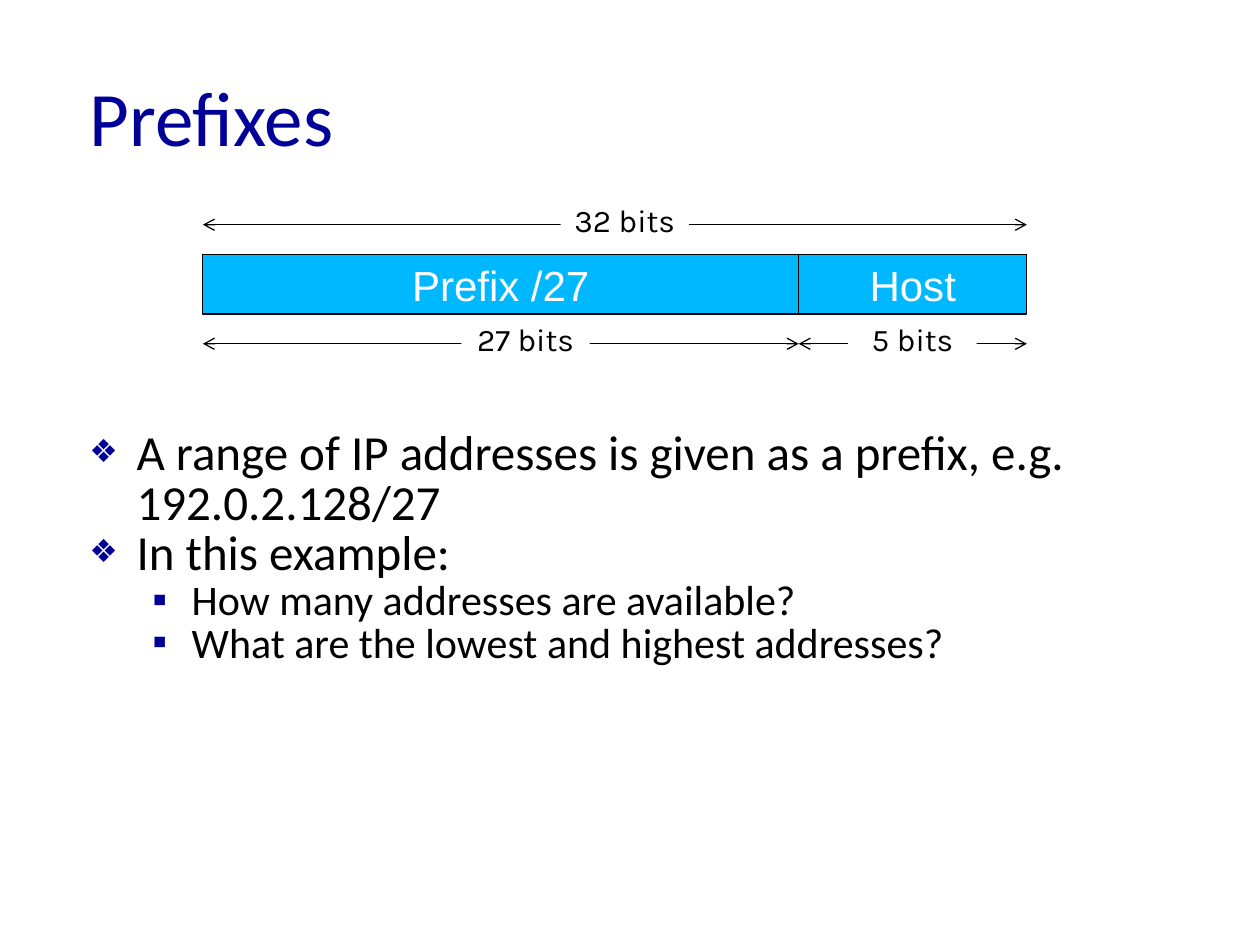
from lxml.etree import SubElement
from pptx import Presentation
from pptx.dml.color import RGBColor
from pptx.enum.shapes import MSO_CONNECTOR, MSO_SHAPE
from pptx.enum.text import MSO_ANCHOR, MSO_AUTO_SIZE, PP_ALIGN
from pptx.oxml.ns import qn
from pptx.util import Cm, Pt

# Content
TITLE = "Prefixes"
BULLETS = [
    (0, "A range of IP addresses is given as a prefix, e.g. 192.0.2.128/27"),
    (0, "In this example:"),
    (1, "How many addresses are available?"),
    (1, "What are the lowest and highest addresses?"),
]
FIELDS = [("Prefix /27", 12.01), ("Host", 4.6)]  # name, width in cm
# text, first field, last field, row, left of the label in cm
SPANS = [
    ("32 bits", 0, 1, "above", 11.3),
    ("27 bits", 0, 0, "below", 9.3),
    ("5 bits", 1, 1, "below", 17.1),
]

# Theme
THEME = {
    "navy": RGBColor(0x00, 0x00, 0x99),
    "black": RGBColor(0x00, 0x00, 0x00),
    "white": RGBColor(0xFF, 0xFF, 0xFF),
    "sky": RGBColor(0x00, 0xB8, 0xFF),
    "line": Pt(0.75),
}
FONTS = {
    "title": {"name": "Calibri", "size": Pt(44), "color": "navy"},
    "level 0": {"name": "Calibri", "size": Pt(28), "color": "black"},
    "level 1": {"name": "Calibri", "size": Pt(24), "color": "black"},
    "field": {"name": "Arial", "size": Pt(24), "color": "white"},
    "span": {"name": "Karla", "size": Pt(18), "color": "black"},
}
# symbol, size in percent, left margin and hanging indent in cm
MARKERS = [("❖", 65, 0.95, 0.95), ("▪", 100, 2.06, 0.79)]

# Diagram measures in cm
BAR_LEFT, BAR_TOP, BAR_HEIGHT = 4.09, 5.13, 1.2
ARROW_GAP = 0.6
LABEL_WIDTH, LABEL_HEIGHT = 2.59, 1.02
ROWS = {"above": BAR_TOP - ARROW_GAP, "below": BAR_TOP + BAR_HEIGHT + ARROW_GAP}


def write(paragraph, text, style):
    font = paragraph.add_run().font
    paragraph.runs[0].text = text
    for key, value in FONTS[style].items():
        if key == "color":
            font.color.rgb = THEME[value]
        else:
            setattr(font, key, value)


def place(placeholder, left, top, width, height, anchor):
    frame = placeholder.text_frame
    box = {"left": left, "top": top, "width": width, "height": height}
    for key, value in box.items():
        setattr(placeholder, key, Cm(value))
    frame.auto_size = MSO_AUTO_SIZE.NONE
    frame.vertical_anchor = anchor
    return frame


def add_marker(paragraph, level):
    symbol, percent, margin, hanging = MARKERS[level]
    properties = paragraph._p.get_or_add_pPr()
    properties.set("marL", str(Cm(margin)))
    properties.set("indent", str(-Cm(hanging)))
    color = SubElement(properties, qn("a:buClr"))
    SubElement(color, qn("a:srgbClr"), val=str(THEME["navy"]))
    SubElement(properties, qn("a:buSzPct"), val=str(percent * 1000))
    SubElement(properties, qn("a:buChar"), char=symbol)


def add_box(slide, text, left, top, width, height, fill, style, anchor, outlined):
    box = slide.shapes.add_shape(
        MSO_SHAPE.RECTANGLE, Cm(left), Cm(top), Cm(width), Cm(height))
    box.shadow.inherit = False
    box.fill.solid()
    box.fill.fore_color.rgb = THEME[fill]
    if outlined:
        box.line.color.rgb = THEME["black"]
        box.line.width = THEME["line"]
    else:
        box.line.fill.background()
    box.text_frame.vertical_anchor = anchor
    paragraph = box.text_frame.paragraphs[0]
    paragraph.alignment = PP_ALIGN.CENTER
    write(paragraph, text, style)


def add_arrow(slide, start, end, y):
    arrow = slide.shapes.add_connector(
        MSO_CONNECTOR.STRAIGHT, Cm(start), Cm(y), Cm(end), Cm(y))
    arrow.line.color.rgb = THEME["black"]
    arrow.line.width = THEME["line"]
    outline = arrow.line._get_or_add_ln()
    for end_tag in ("a:headEnd", "a:tailEnd"):
        SubElement(outline, qn(end_tag), type="arrow")
    SubElement(arrow._element.spPr, qn("a:effectLst"))


def main():
    deck = Presentation()
    deck.slide_width, deck.slide_height = Cm(25.4), Cm(19.05)
    slide = deck.slides.add_slide(deck.slide_layouts[1])

    # Title
    heading = place(slide.shapes.title, 1.55, 1.17, 22.63, 2.34, MSO_ANCHOR.MIDDLE)
    heading.paragraphs[0].alignment = PP_ALIGN.LEFT
    write(heading.paragraphs[0], TITLE, "title")

    # Bullet list
    body = place(slide.placeholders[1], 1.55, 8.56, 22.33, 8.3, MSO_ANCHOR.TOP)
    for index, (level, text) in enumerate(BULLETS):
        bullet = body.add_paragraph() if index else body.paragraphs[0]
        add_marker(bullet, level)
        layout = {"level": level, "line_spacing": 0.85, "space_before": Pt(0)}
        for key, value in layout.items():
            setattr(bullet, key, value)
        write(bullet, text, f"level {level}")

    # Field edges, from the widths
    edges = [BAR_LEFT]
    for _, width in FIELDS:
        edges.append(edges[-1] + width)

    # Arrows with their bit counts
    for text, first, last, row, label_left in SPANS:
        y = ROWS[row]
        add_arrow(slide, edges[first], edges[last + 1], y)
        add_box(slide, text, label_left, y - ARROW_GAP, LABEL_WIDTH, LABEL_HEIGHT,
                "white", "span", MSO_ANCHOR.TOP, False)

    # Address bar
    for (name, width), left in zip(FIELDS, edges):
        add_box(slide, name, left, BAR_TOP, width, BAR_HEIGHT,
                "sky", "field", MSO_ANCHOR.MIDDLE, True)

    deck.save("out.pptx")


if __name__ == "__main__":
    main()
